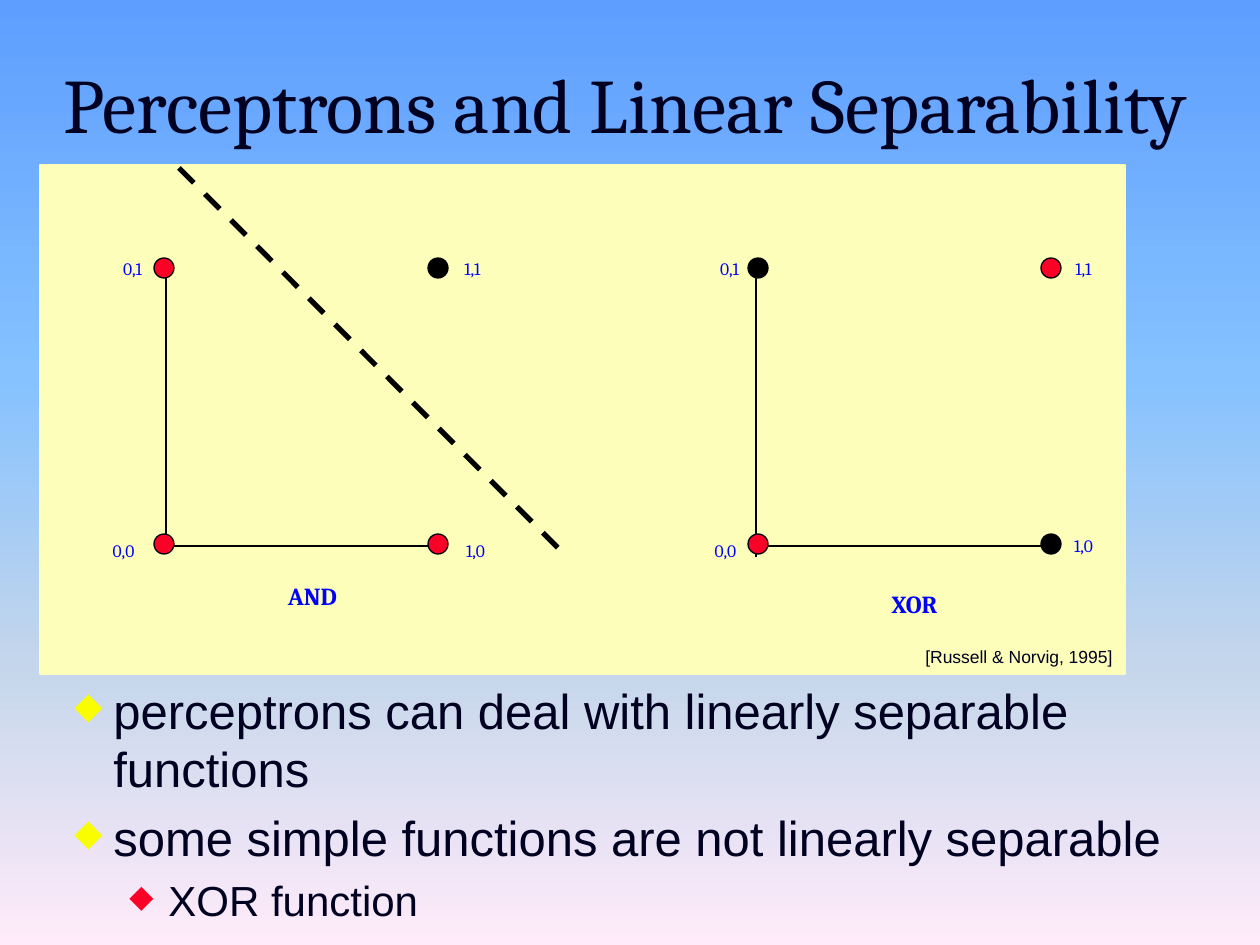
"""Build the slide on perceptrons and linear separability."""
import pptx
import pptx.util
import pptx.dml.color
import pptx.enum.dml
import pptx.enum.shapes
import pptx.enum.text
import pptx.oxml
import pptx.oxml.ns

EMU_PER_PX = 914400 / 126
INK, BLUE, BLACK, RED, YELLOW, CREAM = "000020", "0000FF", "000000", "FC0128", "FAFD00", "FCFEB9"
SERIF, SANS = "Cambria", "Arial"
CENTER = pptx.enum.text.PP_ALIGN.CENTER
SHAPES = pptx.enum.shapes.MSO_SHAPE
NS = pptx.oxml.ns.nsdecls("a")

SKY = [(0, "5E9EFF"), (40, "85C2FF"), (70, "C4D6EB"), (100, "FFEBFA")]
TITLE = ("Perceptrons and Linear Separability", (32, 47, 1187, 111))
CREDIT = ("[Russell & Norvig, 1995]", (913, 640, 212, 34))
PANEL = (40, 165, 1085, 509)
POINTS_BOX = (62, 674, 1188, 166)
POINTS = [
    ("perceptrons can deal with linearly separable functions", 0, 28, YELLOW),
    ("some simple functions are not linearly separable", 0, 28, YELLOW),
    ("XOR function", 1, 24, RED),
]
MARGINS = (39, 94)
HANGING = 39
DOT_SIZE = 20
ROWS = {"1": 268, "0": 544}
PLOTS = [
    {
        "name": ("AND", (213, 575, 199, 67)),
        "columns": {"0": 164, "1": 438},
        "axes": [(166, 261, 166, 543), (433, 546, 166, 546)],
        "points": [("0,1", RED, 82, 252), ("1,1", BLACK, 422, 252),
                   ("1,0", RED, 425, 534), ("0,0", RED, 73, 534)],
    },
    {
        "name": ("XOR", (815, 583, 199, 67)),
        "columns": {"0": 758, "1": 1051},
        "axes": [(756, 273, 756, 557), (1050, 546, 756, 546)],
        "points": [("0,1", BLACK, 679, 252), ("1,1", RED, 1033, 252),
                   ("1,0", BLACK, 1033, 529), ("0,0", RED, 675, 534)],
    },
]
LABEL_SIZE = (101, 59)
BOUNDARY = (179, 168, 562, 552)


def px(length):
    return round(length * EMU_PER_PX)


def scaled(lengths):
    return [px(length) for length in lengths]


def color(code):
    return pptx.dml.color.RGBColor.from_string(code)


def style(paragraph, size, font, code, bold=False):
    for run in paragraph.runs:
        run.font.size = pptx.util.Pt(size)
        run.font.name = font
        run.font.bold = bold
        run.font.color.rgb = color(code)


def add_text(slide, text, box, size, font, code, bold=False, align=CENTER, wrap=True):
    frame = slide.shapes.add_textbox(*scaled(box)).text_frame
    frame.word_wrap = wrap
    frame.text = text
    frame.paragraphs[0].alignment = align
    style(frame.paragraphs[0], size, font, code, bold)
    return frame


def add_filled(slide, preset, box, fill, outline, width):
    shape = slide.shapes.add_shape(preset, *scaled(box))
    shape.shadow.inherit = False
    shape.fill.solid()
    shape.fill.fore_color.rgb = color(fill)
    shape.line.color.rgb = color(outline)
    shape.line.width = pptx.util.Pt(width)


def add_line(slide, ends, width):
    line = slide.shapes.add_connector(pptx.enum.shapes.MSO_CONNECTOR.STRAIGHT, *scaled(ends))
    line.line.color.rgb = color(BLACK)
    line.line.width = pptx.util.Pt(width)
    line.element.spPr.append(pptx.oxml.parse_xml(f"<a:effectLst {NS}/>"))
    return line


def paint_sky(slide):
    fill = slide.background.fill
    fill.gradient()
    fill.gradient_angle = 270
    stops = slide.element.find(".//" + pptx.oxml.ns.qn("a:gsLst"))
    stops.clear()
    for percent, code in SKY:
        stops.append(pptx.oxml.parse_xml(
            f'<a:gs {NS} pos="{percent * 1000}"><a:srgbClr val="{code}"/></a:gs>'))


def add_points(slide):
    frame = slide.shapes.add_textbox(*scaled(POINTS_BOX)).text_frame
    frame.word_wrap = True
    frame.text = "\n".join(text for text, *_ in POINTS)
    for paragraph, (_, level, size, bullet) in zip(frame.paragraphs, POINTS):
        paragraph.level = level
        paragraph.space_before = pptx.util.Pt(size * 0.2)
        style(paragraph, size, SANS, INK)
        properties = paragraph._p.get_or_add_pPr()
        properties.set("marL", str(px(MARGINS[level])))
        properties.set("indent", str(-px(HANGING)))
        for part in (f'<a:buClr {NS}><a:srgbClr val="{bullet}"/></a:buClr>',
                     f'<a:buSzPct {NS} val="75000"/>',
                     f'<a:buChar {NS} char="◆"/>'):
            properties.append(pptx.oxml.parse_xml(part))


def add_plot(slide, plot):
    for axis in plot["axes"]:
        add_line(slide, axis, 0.75)
    for label, fill, left, top in plot["points"]:
        x, y = label.split(",")
        corner = (plot["columns"][x] - DOT_SIZE / 2, ROWS[y] - DOT_SIZE / 2)
        add_filled(slide, SHAPES.OVAL, (*corner, DOT_SIZE, DOT_SIZE), fill, BLACK, 0.75)
        add_text(slide, label, (left, top, *LABEL_SIZE), 10, SERIF, BLUE)
    add_text(slide, *plot["name"], 14, SERIF, BLUE, bold=True)


def main():
    deck = pptx.Presentation()
    deck.slide_width, deck.slide_height = px(1260), px(945)
    slide = deck.slides.add_slide(deck.slide_layouts[6])
    paint_sky(slide)
    add_filled(slide, SHAPES.RECTANGLE, PANEL, CREAM, CREAM, 1)
    add_text(slide, *CREDIT, 10, SANS, INK, align=pptx.enum.text.PP_ALIGN.LEFT, wrap=False)
    title = add_text(slide, *TITLE, 44, SERIF, INK)
    title.vertical_anchor = pptx.enum.text.MSO_ANCHOR.MIDDLE
    add_points(slide)
    for plot in PLOTS:
        add_plot(slide, plot)
    boundary = add_line(slide, BOUNDARY, 3)
    boundary.line.dash_style = pptx.enum.dml.MSO_LINE.DASH
    deck.save("out.pptx")


if __name__ == "__main__":
    main()
